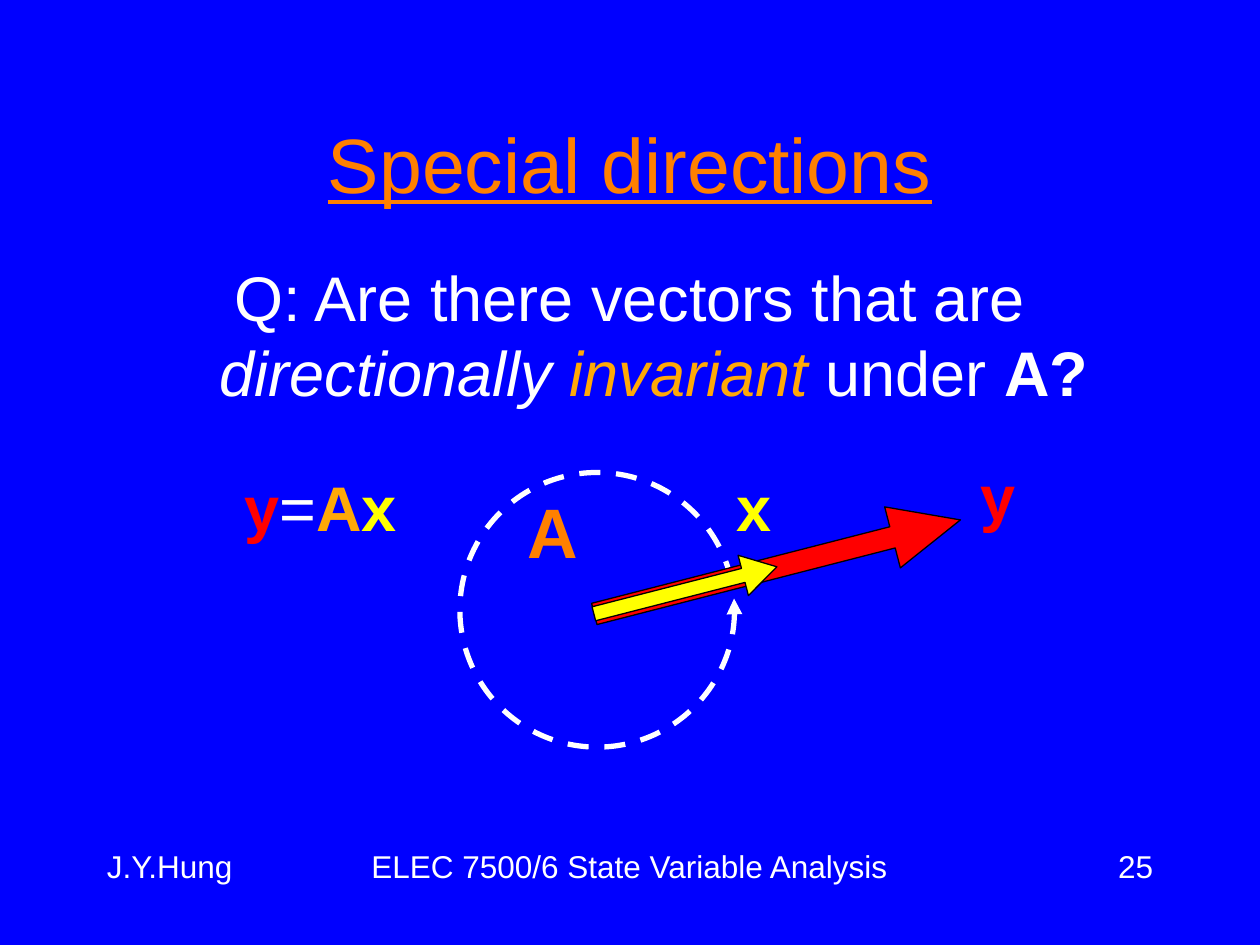
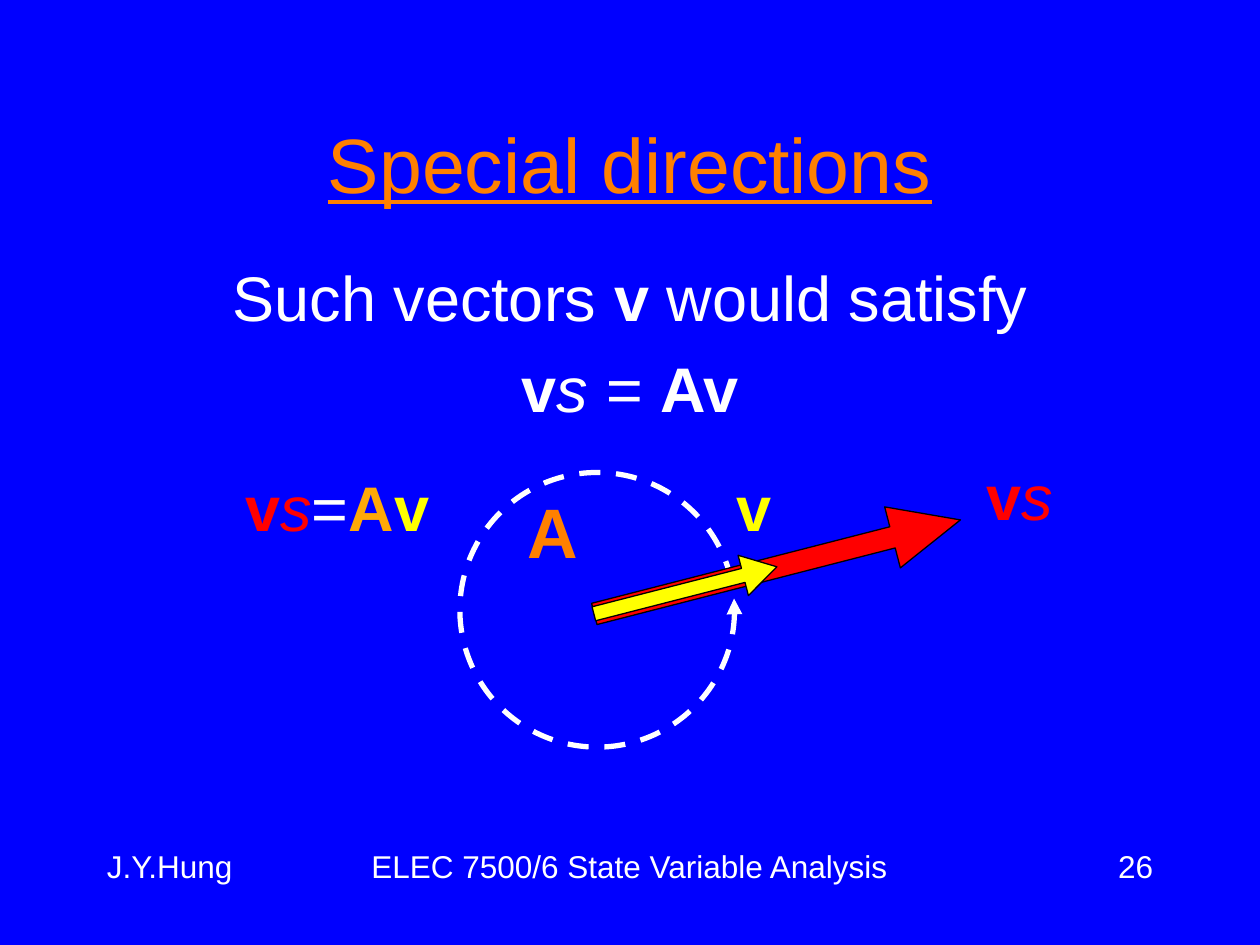
import dataclasses

import lxml.etree
import pptx
import pptx.dml.color
import pptx.enum.dml
import pptx.enum.shapes
import pptx.enum.text
import pptx.oxml.ns
import pptx.util

Inches = pptx.util.Inches
Pt = pptx.util.Pt
Align = pptx.enum.text.PP_ALIGN
Shape = pptx.enum.shapes.MSO_SHAPE


@dataclasses.dataclass(frozen=True)
class Theme:
    font: str = "Arial"
    background: str = "0000FF"
    text: str = "FFFFFF"
    heading: str = "FF8000"
    accent: str = "FFA907"
    output: str = "FF0000"
    input: str = "FFFF00"
    outline: str = "000000"
    title_size: int = 44
    operator_size: int = 40
    body_size: int = 36
    footer_size: int = 18


theme = Theme()
rgb = pptx.dml.color.RGBColor.from_string


def add_span(para, text, size=theme.body_size, color=theme.text,
             bold=False, italic=False, underline=False):
    span = para.add_run()
    span.text = text
    font = span.font
    font.name, font.size, font.color.rgb = theme.font, Pt(size), rgb(color)
    font.bold, font.italic, font.underline = bold, italic, underline


def add_text(page, at, paragraphs, align=Align.LEFT, wrap=True, hanging=0, gap=0):
    """Add a text box; each paragraph is a list of (text, format) spans."""
    box = page.shapes.add_textbox(*map(Inches, at))
    frame = box.text_frame
    frame.word_wrap = wrap
    for index, spans in enumerate(paragraphs):
        para = frame.add_paragraph() if index else frame.paragraphs[0]
        para.alignment = align
        para.space_before = Pt(gap if index else 0)
        if hanging:
            properties = para._p.get_or_add_pPr()
            properties.set("marL", str(Inches(hanging)))
            properties.set("indent", str(-Inches(hanging)))
        for text, style in spans:
            add_span(para, text, **style)


plain = {}
bold = {"bold": True}
italic = {"italic": True}
matrix = {"bold": True, "color": theme.accent}
vector_in = {"bold": True, "color": theme.input}
vector_out = {"bold": True, "color": theme.output}
scale_out = {"italic": True, "color": theme.output}
footer_style = {"size": theme.footer_size}

slides = [
    {
        "body": [[("Q: Are there vectors that are ", plain), ("directionally ", italic),
                  ("invariant", {"italic": True, "color": theme.accent}),
                  (" under ", plain), ("A?", bold)]],
        "result": [("y", vector_out)],
        "result_at": (7.68, 3.58, 0.48, 0.7),
        "input": [("x", vector_in)],
        "equation_at": (1.84, 3.67, 1.41, 0.7),
    },
    {
        "body": [[("Such vectors ", plain), ("v", bold), (" would satisfy", plain)],
                 [("v", bold), ("s = ", italic), ("Av", bold)]],
        "result": [("v", vector_out), ("s", scale_out)],
        "result_at": (7.73, 3.58, 0.73, 0.7),
        "input": [("v", vector_in)],
        "equation_at": (1.85, 3.67, 1.66, 0.7),
    },
]

# Position, head length and colour of the two arrows
arrows = [
    ((4.67, 4.25, 3, 0.5), 1.113, theme.output),
    ((4.69, 4.52, 1.5, 0.33), 0.835, theme.input),
]

deck = pptx.Presentation()
deck.slide_width, deck.slide_height = Inches(10), Inches(7.5)
background = deck.slide_master.background.fill
background.solid()
background.fore_color.rgb = rgb(theme.background)
title_only = deck.slide_layouts[5]

for number, content in enumerate(slides, start=25):
    page = deck.slides.add_slide(title_only)

    title = page.shapes.title
    title.left, title.top, title.width, title.height = map(Inches, (0.75, 0.67, 8.5, 1.25))
    title.text_frame.vertical_anchor = pptx.enum.text.MSO_ANCHOR.MIDDLE
    title.text_frame.auto_size = pptx.enum.text.MSO_AUTO_SIZE.NONE
    heading = title.text_frame.paragraphs[0]
    heading.alignment = Align.CENTER
    add_span(heading, "Special directions", size=theme.title_size,
             color=theme.heading, underline=True)

    for left, width, text, align in [
        (0.75, 1.25, "J.Y.Hung", Align.LEFT),
        (2.33, 5.33, "ELEC 7500/6 State Variable Analysis", Align.CENTER),
        (8.5, 0.75, str(number), Align.RIGHT),
    ]:
        add_text(page, (left, 6.67, width, 0.5), [[(text, footer_style)]], align=align)

    add_text(page, (0.75, 2, 8.5, 4.5), content["body"],
             align=Align.CENTER, hanging=0.38, gap=9)
    add_text(page, content["result_at"], [content["result"]], wrap=False)

    # Rotation circle, open between its end and the arrowhead at its start
    circle = page.shapes.add_shape(Shape.ARC, *map(Inches, (3.65, 3.75, 2.18, 2.18)))
    circle.shadow.inherit = False
    for index, degrees in enumerate((355.3, 343.6)):
        circle.adjustments[index] = degrees * 0.6
    circle.fill.background()
    circle.line.color.rgb = rgb(theme.text)
    circle.line.width = Pt(3)
    circle.line.dash_style = pptx.enum.dml.MSO_LINE.DASH
    outline = circle.element.spPr.find(pptx.oxml.ns.qn("a:ln"))
    lxml.etree.SubElement(outline, pptx.oxml.ns.qn("a:headEnd"), type="triangle")

    operator = {"bold": True, "color": theme.heading, "size": theme.operator_size}
    add_text(page, (4.09, 3.83, 0.6, 0.77), [[("A", operator)]], wrap=False)
    equation = content["result"] + [("=", plain), ("A", matrix)] + content["input"]
    add_text(page, content["equation_at"], [equation], wrap=False)

    for at, head_length, color in arrows:
        arrow = page.shapes.add_shape(Shape.RIGHT_ARROW, *map(Inches, at))
        arrow.shadow.inherit = False
        arrow.rotation = 345.6
        arrow.adjustments[0], arrow.adjustments[1] = 0.347, head_length
        arrow.fill.solid()
        arrow.fill.fore_color.rgb = rgb(color)
        arrow.line.color.rgb = rgb(theme.outline)
        arrow.line.width = Pt(0.75)

    add_text(page, (5.75, 3.67, 0.48, 0.7), [content["input"]], wrap=False)

deck.save("out.pptx")
